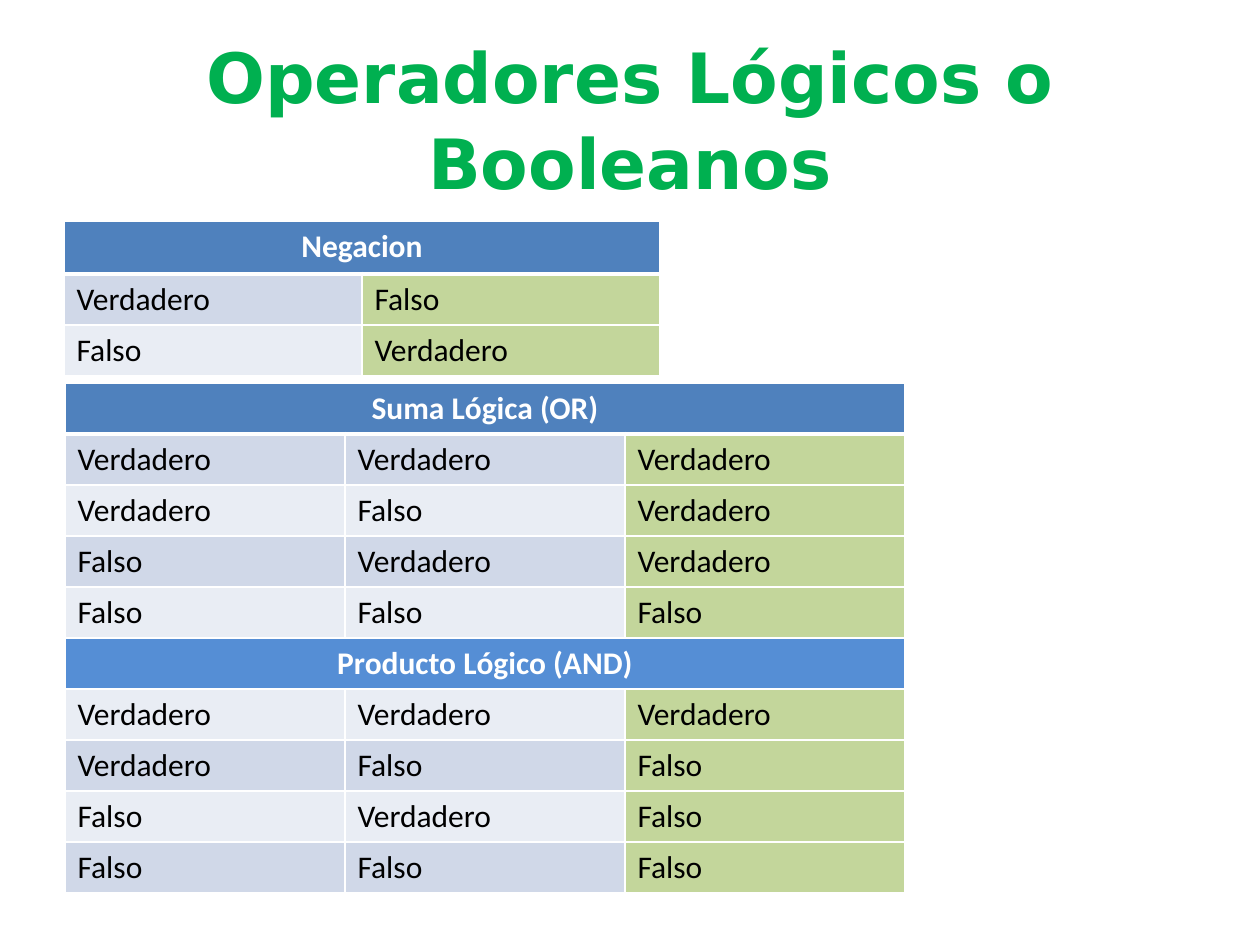
import pptx
import pptx.util
import pptx.dml.color
import pptx.enum.text
import lxml.etree

PX = 914400 / 126
T, F = "Verdadero", "Falso"
PAIRS = [(T, T), (T, F), (F, T), (F, F)]
WHITE, BLACK, GREEN = "FFFFFF", "000000", "00B050"
BLUE, SKY, RESULT = "4F81BD", "558ED5", "C3D69B"
BANDS = ["E9EDF4", "D0D8E8"]
ROW = 51
CENTER = pptx.enum.text.PP_ALIGN.CENTER
LEFT = pptx.enum.text.PP_ALIGN.LEFT


def emu(px):
    return pptx.util.Emu(round(px * PX))


def color(code):
    return pptx.dml.color.RGBColor.from_string(code)


def edge(cell, side, width):
    """Draw one white border; side is L, R, T or B."""
    line = lxml.etree.SubElement(
        cell._tc.get_or_add_tcPr(), pptx.oxml.ns.qn("a:ln" + side),
        w=str(pptx.util.Pt(width)))
    fill = lxml.etree.SubElement(line, pptx.oxml.ns.qn("a:solidFill"))
    lxml.etree.SubElement(fill, pptx.oxml.ns.qn("a:srgbClr"), val=WHITE)


class Board:
    def __init__(self, slide):
        self.slide = slide
        self.font = "Calibri"
        self.size = 18

    def style(self, par, text, ink, bold, align, font=None, size=None):
        par.text = text
        par.alignment = align
        par.font.name = font or self.font
        par.font.size = pptx.util.Pt(size or self.size)
        par.font.bold = bold
        par.font.color.rgb = color(ink)

    def title(self, text, x, y, w, h):
        box = self.slide.shapes.add_textbox(emu(x), emu(y), emu(w), emu(h))
        frame = box.text_frame
        frame.word_wrap = True
        frame.vertical_anchor = pptx.enum.text.MSO_ANCHOR.MIDDLE
        par = frame.paragraphs[0]
        self.style(par, text, GREEN, True, CENTER, "DejaVu Sans", 39.6)
        par.line_spacing = 1.04

    def cell(self, cell, text, fill, row, head):
        for side in "LRTB":
            thick = (row, side) in [(0, "B"), (1, "T")]
            edge(cell, side, 3 if thick else 1)
        cell.fill.solid()
        cell.fill.fore_color.rgb = color(fill)
        self.style(cell.text_frame.paragraphs[0], text,
                   WHITE if head else BLACK, head, CENTER if head else LEFT)

    def table(self, x, y, wide, top, rows, heads):
        """Build a truth table; heads maps a full-width row to its fill."""
        cols = max(len(row) for row in rows)
        high = top + ROW * (len(rows) - 1)
        grid = self.slide.shapes.add_table(
            len(rows), cols, emu(x), emu(y), emu(wide * cols), emu(high)).table
        for col in grid.columns:
            col.width = emu(wide)
        for r, row in enumerate(rows):
            grid.rows[r].height = emu(ROW if r else top)
            head = r in heads
            for c in range(cols):
                text = row[c] if c < len(row) else ""
                band = RESULT if c == cols - 1 else BANDS[r % 2]
                self.cell(grid.cell(r, c), text, heads.get(r, band), r, head)
            if head:
                grid.cell(r, 0).merge(grid.cell(r, cols - 1))


def main():
    deck = pptx.Presentation()
    deck.slide_width, deck.slide_height = emu(1260), emu(945)
    board = Board(deck.slides.add_slide(deck.slide_layouts[6]))
    board.title("Operadores Lógicos o Booleanos", 63, 38, 1134, 158)
    board.table(64, 221, 298, 53, [["Negacion"], [T, F], [F, T]], {0: BLUE})
    either = [(a, b, T if T in (a, b) else F) for a, b in PAIRS]
    both = [(a, b, F if F in (a, b) else T) for a, b in PAIRS]
    rows = [["Suma Lógica (OR)"], *either, ["Producto Lógico (AND)"], *both]
    board.table(65, 383, 280, ROW, rows, {0: BLUE, 5: SKY})
    deck.save("out.pptx")


if __name__ == "__main__":
    main()
